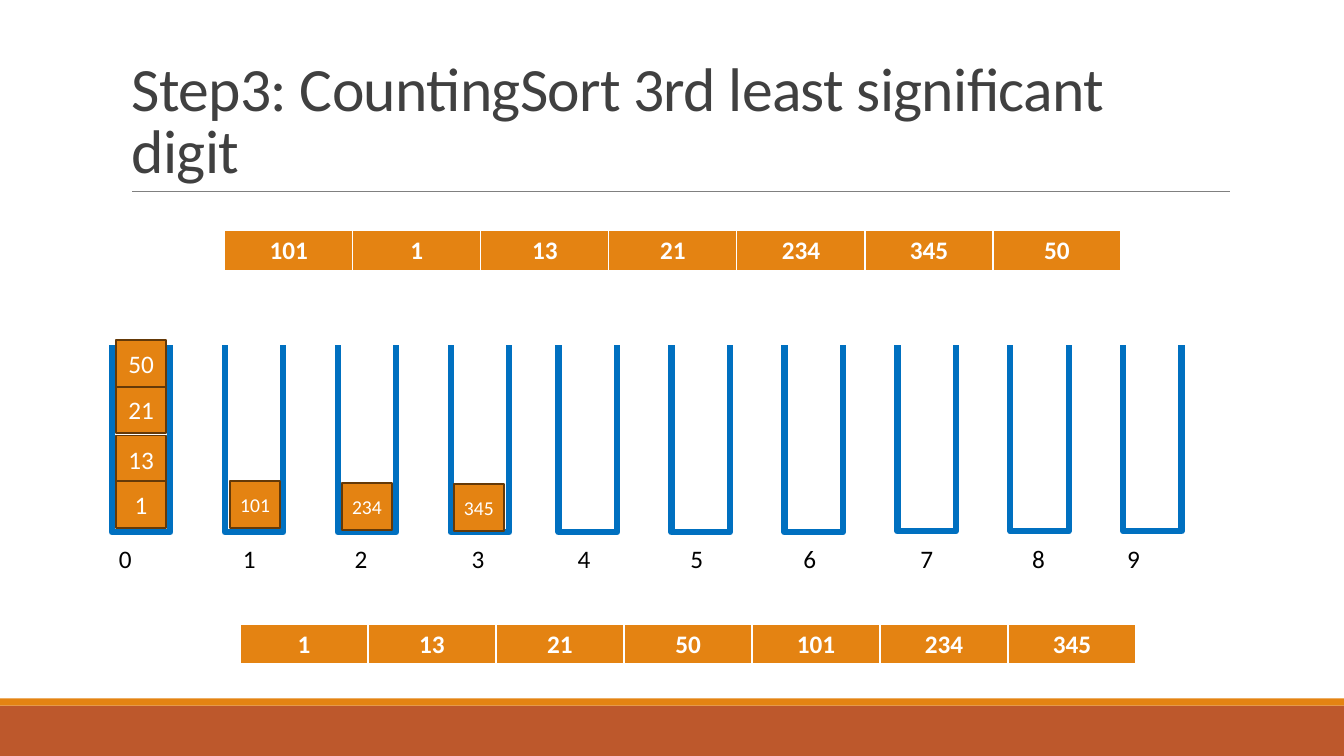
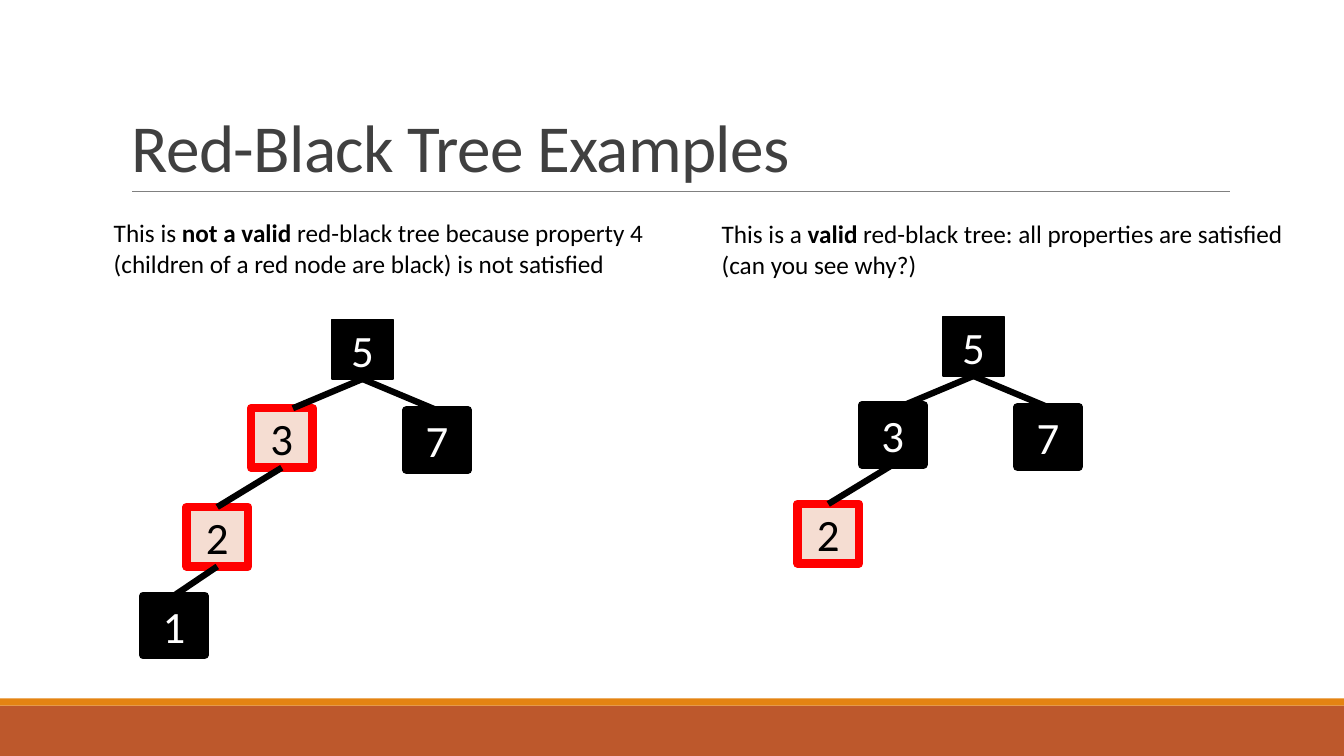
from lxml import etree
from pptx import Presentation
from pptx import util as u
from pptx.dml.color import RGBColor
from pptx.enum import shapes as sh, text as tx
from pptx.oxml.ns import qn

hues = {
    "white": "FFFFFF", "black": "000000", "title": "404040", "rule": "808080",
    "rust": "BD582C", "orange": "E48312", "brown": "643908",
    "blue": "0070C0", "red": "FF0000", "blush": "F5DDD2",
}
hues = {name: RGBColor.from_string(code) for name, code in hues.items()}
rect = sh.MSO_SHAPE.RECTANGLE
plain = sh.MSO_CONNECTOR.STRAIGHT


def write(par, words, size, hue, **form):
    """Add a run of text to a paragraph."""
    run = par.add_run()
    run.text = words
    run.font.color.rgb = hues[hue]
    for key, val in {"name": "Calibri", "size": u.Pt(size), **form}.items():
        setattr(run.font, key, val)
    return run


def block(home, at, fill, edge=None, width=1.25, words="", size=18, hue="white"):
    """Add a filled rectangle with optional centred text."""
    box = home.add_shape(rect, *map(u.Inches, at))
    box.shadow.inherit = False
    box.fill.solid()
    box.fill.fore_color.rgb = hues[fill]
    if edge:
        box.line.color.rgb = hues[edge]
        box.line.width = u.Pt(width)
    else:
        box.line.fill.background()
    if words:
        frame = box.text_frame
        for side in ("left", "right", "top", "bottom"):
            setattr(frame, "margin_" + side, 0)
        frame.vertical_anchor = tx.MSO_ANCHOR.MIDDLE
        par = frame.paragraphs[0]
        par.alignment = tx.PP_ALIGN.CENTER
        write(par, words, size, hue)
    return box


deck = Presentation()
deck.slide_width, deck.slide_height = u.Inches(13.33), u.Inches(7.5)

# Shared bands, rule and title
pages = []
for title, size in [("Step3: CountingSort 3rd least significant digit", 44),
                    ("Red-Black Tree Examples", 48)]:
    page = deck.slides.add_slide(deck.slide_layouts[6]).shapes
    block(page, (0, 7, 13.33, 0.5), "rust")
    block(page, (0, 6.93, 13.33, 0.07), "orange")
    rule = page.add_connector(plain, *map(u.Inches, (1.31, 1.9, 12.2, 1.9)))
    rule.line.color.rgb = hues["rule"]
    rule.line.width = u.Pt(0.5)
    etree.SubElement(rule.element.spPr, qn("a:effectLst"))
    frame = page.add_textbox(*map(u.Inches, (1.21, 0.31, 11, 1.59))).text_frame
    frame.word_wrap = True
    frame.vertical_anchor = tx.MSO_ANCHOR.BOTTOM
    par = frame.paragraphs[0]
    par.line_spacing = 0.85
    run = write(par, title, size, "title")
    run.font._element.set("spc", "-50")
    pages.append(page)
sort, trees = pages

# Buckets, with a white strip that opens their tops
for i in range(10):
    left = 1.11 + 1.12 * i - (0.05 if i > 3 else 0)
    block(sort, (left, 3.13 if i > 6 else 3.14, 0.58, 2.14), "white", "blue", 4.5)
block(sort, (0.82, 2.83, 11.58, 0.58), "white", "white")

# Bucket numbers on tab stops
frame = sort.add_textbox(*map(u.Inches, (1.08, 5.34, 10.53, 0.71))).text_frame
frame.word_wrap = True
par = frame.paragraphs[0]
tabs = etree.SubElement(par._p.get_or_add_pPr(), qn("a:tabLst"))
for stop in (1.23, 2.34, 3.5, 4.55, 5.67, 6.79, 7.95, 9.06, 10):
    etree.SubElement(tabs, qn("a:tab"), pos=str(u.Inches(stop)), algn="l")
write(par, "\t".join(map(str, range(10))), 18, "black")

# Values in the buckets
for val, left, top, size in [
    ("21", 1.15, 3.83, 18), ("13", 1.15, 4.32, 18), ("50", 1.15, 3.37, 18),
    ("1", 1.15, 4.77, 18), ("101", 2.28, 4.77, 14), ("234", 3.39, 4.79, 14),
    ("345", 4.5, 4.8, 14),
]:
    block(sort, (left, top, 0.5, 0.47), "orange", "brown", 1.25, val, size)

# Arrays before and after the step
for left, top, row in [(2.23, 2.29, "101 1 13 21 234 345 50"),
                       (2.38, 6.19, "1 13 21 50 101 234 345")]:
    vals = row.split()
    grid = sort.add_table(1, len(vals), *map(u.Inches, (left, top, 8.89, 0.41))).table
    grid.horz_banding = False
    for col, val in enumerate(vals):
        grid.columns[col].width = u.Inches(1.27)
        cell = grid.cell(0, col)
        cell.fill.solid()
        cell.fill.fore_color.rgb = hues["orange"]
        par = cell.text_frame.paragraphs[0]
        par.alignment = tx.PP_ALIGN.CENTER
        write(par, val, 18, "white", bold=True)
        props = cell._tc.get_or_add_tcPr()
        for spot, (side, width) in enumerate([("L", 1), ("R", 1), ("T", 1), ("B", 3)]):
            edge = etree.Element(qn("a:ln" + side), w=str(u.Pt(width)))
            fill = etree.SubElement(edge, qn("a:solidFill"))
            etree.SubElement(fill, qn("a:srgbClr"), val=str(hues["white"]))
            props.insert(spot, edge)

# Trees: node places, then edges as child, parent and shift of the child's end
spots = {"5": (3.29, 3.17), "7": (4.03, 4.07), "2": (1.85, 5.03),
         "3": (2.49, 4.05), "1": (1.42, 5.91)}
links = [("3", "5", 0.11), ("2", "3", 0), ("7", "5", 0), ("1", "2", 0)]
for dx, dy, names, reds in [(0, 0, "57231", "23"), (6.06, -0.03, "5723", "2")]:
    group = trees.add_group_shape().shapes
    nodes = {}
    for name in names:
        left, top = spots[name]
        fill, edge, hue = (("blush", "red", "black") if name in reds
                           else ("black", "black", "white"))
        nodes[name] = block(group, (left + dx, top + dy, 0.61, 0.59), fill, edge,
                            1.25 if name == "5" else 6, name, 32, hue)
    for low, high, shift in links:
        if low not in nodes:
            continue
        kid, root = nodes[low], nodes[high]
        line = group.add_connector(plain, kid.left + kid.width // 2 + u.Inches(shift),
                                   kid.top, root.left + root.width // 2,
                                   root.top + root.height)
        if not shift:
            line.begin_connect(kid, 0)
        line.end_connect(root, 2)
        line.line.color.rgb = hues["black"]
        line.line.width = u.Pt(4.5)
        etree.SubElement(line.element.spPr, qn("a:effectLst"))

# Captions, with the verdict in bold
for left, top, parts in [
    (1.03, 2.11, ("This is ", "not a valid ", "red-black tree because property 4 "
                  "(children of a red node are black) is not satisfied")),
    (7.06, 2.12, ("This is a ", "valid", " red-black tree: all properties are "
                  "satisfied (can you see why?)")),
]:
    frame = trees.add_textbox(*map(u.Inches, (left, top, 5.94, 0.71))).text_frame
    frame.word_wrap = True
    for i, words in enumerate(parts):
        write(frame.paragraphs[0], words, 18, "black", bold=i == 1)

deck.save("out.pptx")
